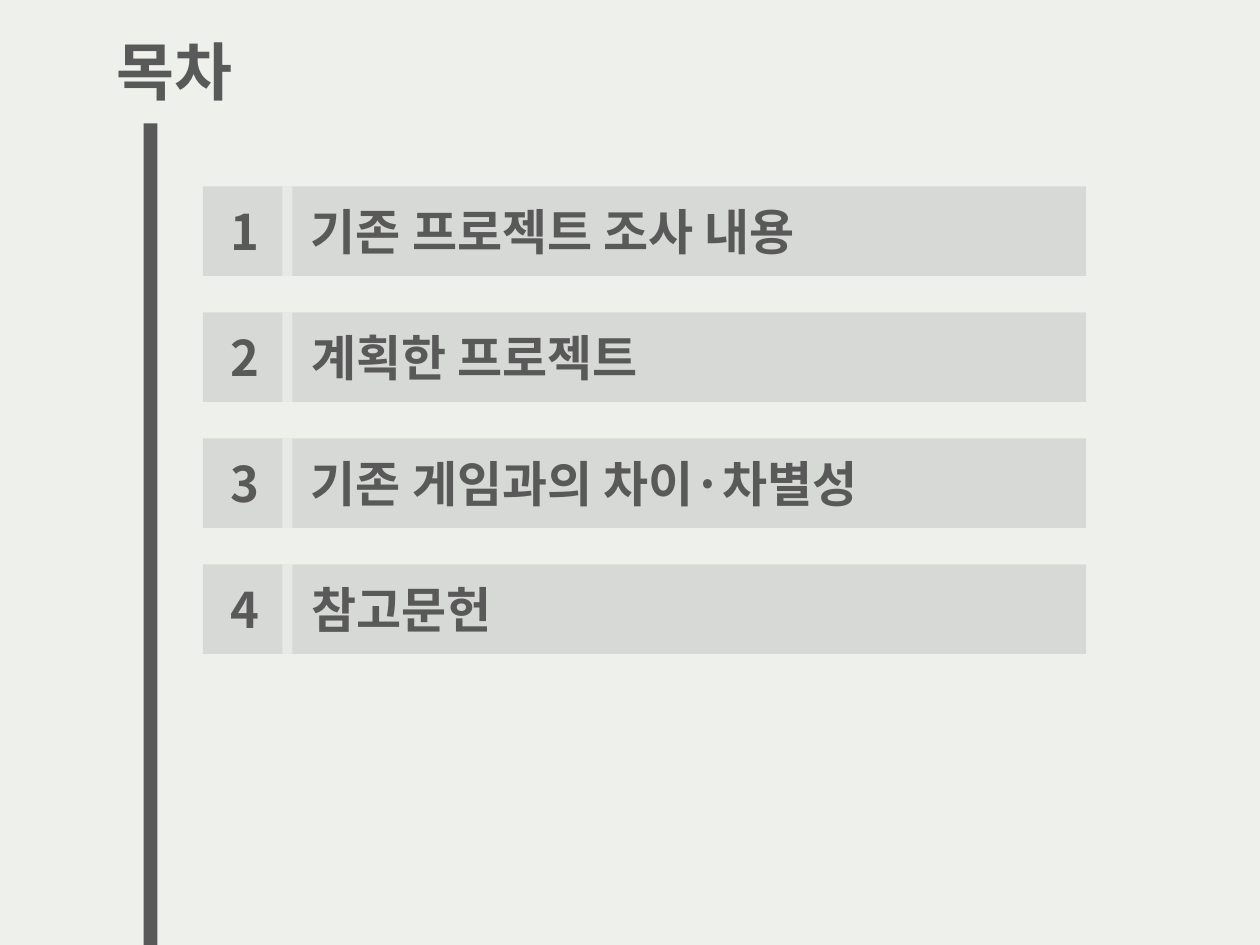
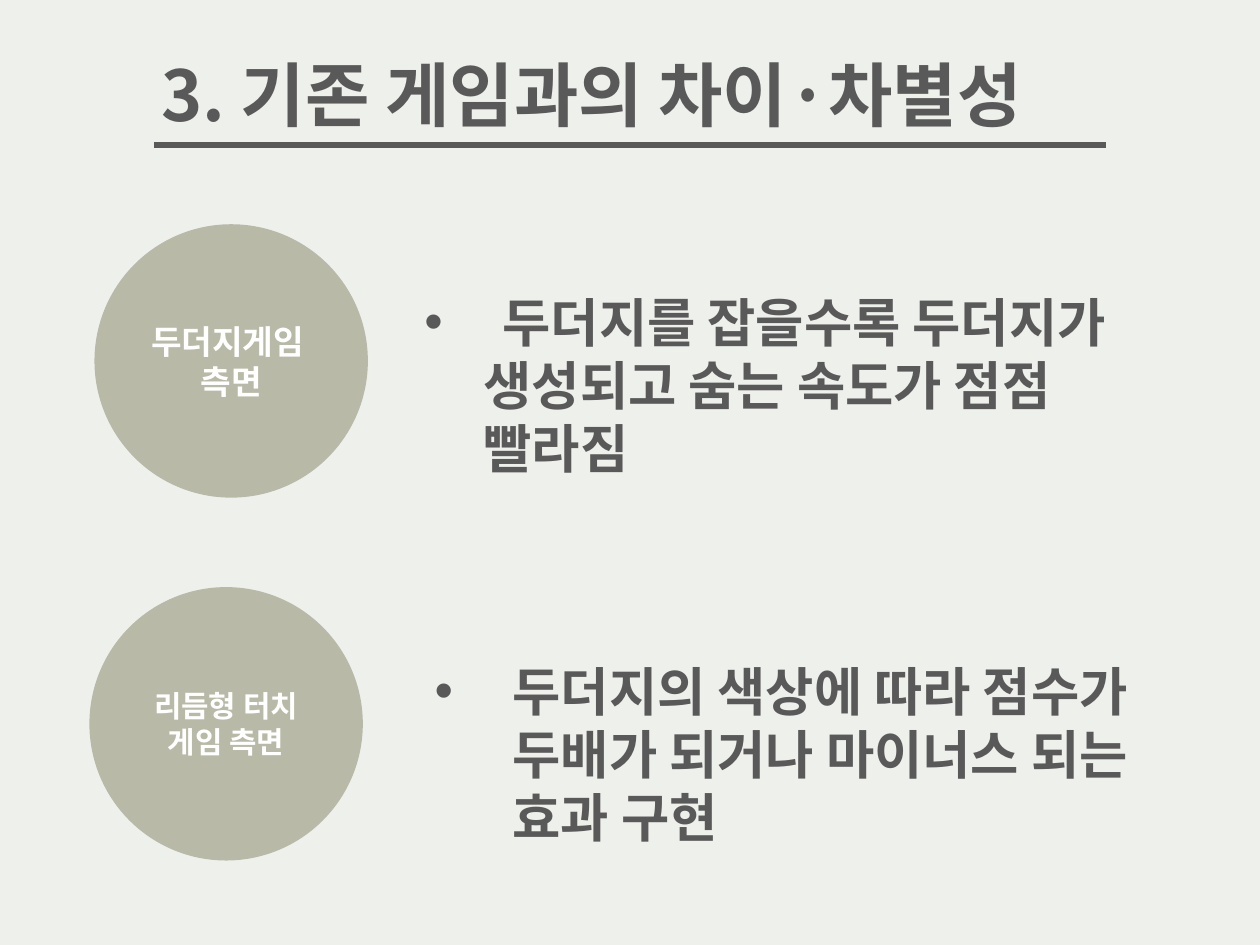
from dataclasses import dataclass

import pptx
import pptx.dml.color
import pptx.enum.shapes
import pptx.enum.text
import pptx.oxml
import pptx.oxml.ns
import pptx.util
from pptx.util import Inches

FONT = "Noto Sans CJK KR"
LINE_HEIGHT = 1.2
BACKGROUND = "EEF0EC"
INK = "595959"
PALE = "FBFBFB"
CIRCLE_FILL = "B9B9A7"
WHITE = "FFFFFF"

SHAPE = pptx.enum.shapes.MSO_SHAPE
ALIGN = pptx.enum.text.PP_ALIGN


@dataclass
class Box:
    left: float
    top: float
    width: float
    height: float

    def lengths(self) -> list:
        return [Inches(value) for value in (self.left, self.top, self.width, self.height)]


@dataclass
class Line:
    text: str
    margin: float = 0
    bullet: bool = False


@dataclass
class Aspect:
    """A compared side of the game: a labelled circle and its explanation."""
    circle: Box
    label: list
    label_size: int
    explanation_box: Box
    explanation: list


CONTENTS = [
    ("기존 프로젝트 조사 내용", 4.54),
    ("계획한 프로젝트", 3.11),
    ("기존 게임과의 차이·차별성", 4.9),
    ("참고문헌", 1.79),
]
FIRST_ROW_TOP, ROW_PITCH, ROW_HEIGHT = 1.48, 1, 0.71

BULLET_MARGIN = 0.62
ASPECTS = [
    Aspect(
        Box(0.75, 1.78, 2.17, 2.17),
        [Line("두더지게임 "), Line("측면")],
        19,
        Box(3.27, 2.25, 6.38, 1.6),
        [
            Line("두더지를 잡을수록 두더지가", BULLET_MARGIN, True),
            Line("생성되고 숨는 속도가 점점", 0.47),
            Line("빨라짐", 0.47),
        ],
    ),
    Aspect(
        Box(0.71, 4.66, 2.17, 2.17),
        [Line("리듬형 터치 게임 측면")],
        17,
        Box(3.35, 5.18, 6.38, 1.59),
        [Line("두더지의 색상에 따라 점수가 두배가 되거나 마이너스 되는 효과 구현", BULLET_MARGIN, True)],
    ),
]


def color(value: str) -> pptx.dml.color.RGBColor:
    return pptx.dml.color.RGBColor.from_string(value)


def add_child(parent, tag: str, **attributes: str):
    child = pptx.oxml.parse_xml(f"<{tag} {pptx.oxml.ns.nsdecls('a')}/>")
    for name, value in attributes.items():
        child.set(name, value)
    parent.append(child)
    return child


def add_bullet(paragraph) -> None:
    properties = paragraph._p.get_or_add_pPr()
    bullet_color = add_child(properties, "a:buClr")
    add_child(bullet_color, "a:srgbClr", val=INK)
    add_child(properties, "a:buFont", typeface="Arial")
    add_child(properties, "a:buChar", char="•")


def write(frame, lines: list, size: int, ink: str = INK, alignment=ALIGN.LEFT) -> None:
    for index, line in enumerate(lines):
        paragraph = frame.paragraphs[0] if index == 0 else frame.add_paragraph()
        paragraph.alignment = alignment
        paragraph.line_spacing = pptx.util.Pt(round(size * LINE_HEIGHT, 1))
        if line.margin:
            properties = paragraph._p.get_or_add_pPr()
            properties.set("marL", str(Inches(line.margin)))
            properties.set("indent", str(Inches(-line.margin) if line.bullet else 0))
        if line.bullet:
            add_bullet(paragraph)
        run = paragraph.add_run()
        run.text = line.text
        for name, value in {"name": FONT, "size": pptx.util.Pt(size), "bold": True}.items():
            setattr(run.font, name, value)
        run.font.color.rgb = color(ink)
        add_child(run._r.get_or_add_rPr(), "a:ea", typeface=FONT)


def add_text(shapes, box: Box, lines: list, size: int, wrap: bool = False) -> None:
    frame = shapes.add_textbox(*box.lengths()).text_frame
    frame.word_wrap = wrap
    frame.auto_size = pptx.enum.text.MSO_AUTO_SIZE.SHAPE_TO_FIT_TEXT
    write(frame, lines, size)


def add_filled(shapes, kind, box: Box, fill: str, opacity: int = 100):
    """Add a borderless shape; opacity is a percentage."""
    shape = shapes.add_shape(kind, *box.lengths())
    shape.shadow.inherit = False
    shape.fill.solid()
    shape.fill.fore_color.rgb = color(fill)
    shape.line.fill.background()
    if opacity < 100:
        fill_color = shape._element.spPr.find(".//" + pptx.oxml.ns.qn("a:srgbClr"))
        add_child(fill_color, "a:alpha", val=str(opacity * 1000))
    return shape


def add_slide(presentation):
    slide = presentation.slides.add_slide(presentation.slide_layouts[6])
    slide.background.fill.solid()
    slide.background.fill.fore_color.rgb = color(BACKGROUND)
    return slide


def add_contents_row(slide, number: int, title: str, title_width: float) -> None:
    top = FIRST_ROW_TOP + (number - 1) * ROW_PITCH
    shapes = slide.shapes.add_group_shape().shapes
    add_filled(shapes, SHAPE.RECTANGLE, Box(1.61, top, 7.01, ROW_HEIGHT), INK, 15)
    add_filled(shapes, SHAPE.RECTANGLE, Box(2.24, top, 0.08, ROW_HEIGHT), PALE, 47)
    add_text(shapes, Box(1.73, top + 0.07, 0.43, 0.57), [Line(str(number))], 28)
    add_text(shapes, Box(2.37, top + 0.07, title_width, 0.56), [Line(title)], 28)


def build_contents(presentation) -> None:
    slide = add_slide(presentation)
    add_text(slide.shapes, Box(0.83, 0.21, 1.23, 0.7), [Line("목차")], 36)
    add_filled(slide.shapes, SHAPE.RECTANGLE, Box(1.14, 0.98, 0.11, 6.52), INK)
    for number, (title, title_width) in enumerate(CONTENTS, 1):
        add_contents_row(slide, number, title, title_width)


def add_title_rule(slide) -> None:
    rule = slide.shapes.add_connector(
        pptx.enum.shapes.MSO_CONNECTOR.STRAIGHT,
        Inches(1.22), Inches(1.15), Inches(8.78), Inches(1.15),
    )
    rule.line.color.rgb = color(INK)
    rule.line.width = pptx.util.Pt(3)
    add_child(rule._element.spPr, "a:effectLst")


def add_aspect(slide, aspect: Aspect) -> None:
    circle = add_filled(slide.shapes, SHAPE.OVAL, aspect.circle, CIRCLE_FILL)
    frame = circle.text_frame
    frame.word_wrap = True
    frame.vertical_anchor = pptx.enum.text.MSO_ANCHOR.MIDDLE
    write(frame, aspect.label, aspect.label_size, WHITE, ALIGN.CENTER)
    add_text(slide.shapes, aspect.explanation_box, aspect.explanation, 30, wrap=True)


def build_differences(presentation) -> None:
    slide = add_slide(presentation)
    add_title_rule(slide)
    title = Line(f"3. {CONTENTS[2][0]}")
    add_text(slide.shapes, Box(1.18, 0.36, 7.64, 0.76), [title], 40, wrap=True)
    for aspect in ASPECTS:
        add_aspect(slide, aspect)


def main() -> None:
    presentation = pptx.Presentation()
    presentation.slide_width = Inches(10)
    presentation.slide_height = Inches(7.5)
    build_contents(presentation)
    build_differences(presentation)
    presentation.save("out.pptx")


if __name__ == "__main__":
    main()
